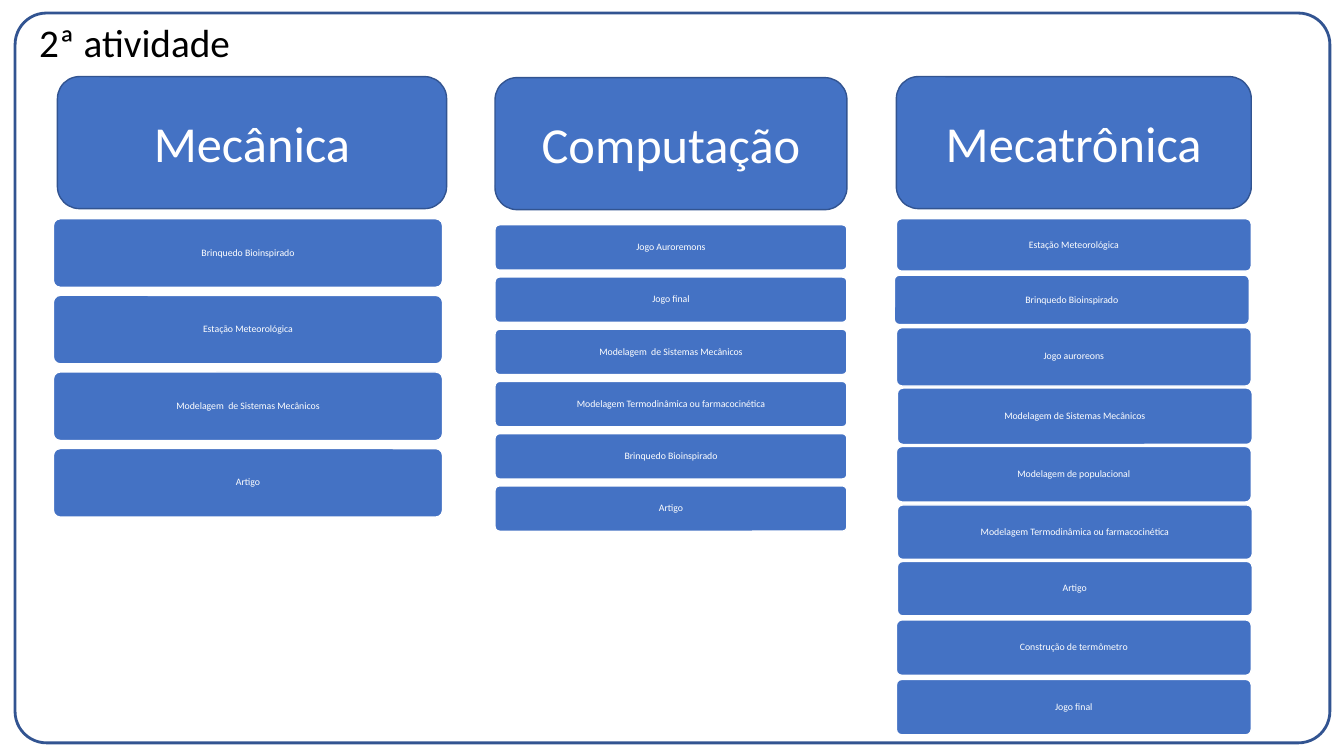
import pptx
import pptx.util
import pptx.dml.color
import pptx.enum.shapes
import pptx.enum.text
from dataclasses import dataclass

TITLE = "2ª atividade"

# Each head: label, then left, top, width, height
HEADS = [
    ("Mecânica", (0.57, 0.76, 3.86, 1.31)),
    ("Computação", (4.91, 0.77, 3.49, 1.31)),
    ("Mecatrônica", (8.89, 0.76, 3.52, 1.31)),
]

# Even stacks: left, top, width, height, pitch, labels
STACKS = [
    (0.53, 2.17, 3.86, 0.68, 0.76, [
        "Brinquedo Bioinspirado",
        "Estação Meteorológica",
        "Modelagem  de Sistemas Mecânicos",
        "Artigo",
    ]),
    (4.91, 2.23, 3.49, 0.45, 0.518, [
        "Jogo Auroremons",
        "Jogo final",
        "Modelagem  de Sistemas Mecânicos",
        "Modelagem Termodinâmica ou farmacocinética",
        "Brinquedo Bioinspirado",
        "Artigo",
    ]),
]

# Hand-placed bars of the last column: label, left, top, height
LOOSE_W = 3.52
LOOSE = [
    ("Estação Meteorológica", 8.89, 2.17, 0.52),
    ("Brinquedo Bioinspirado", 8.87, 2.73, 0.49),
    ("Jogo auroreons", 8.89, 3.25, 0.58),
    ("Modelagem de Sistemas Mecânicos", 8.9, 3.85, 0.56),
    ("Modelagem de populacional", 8.89, 4.43, 0.55),
    ("Modelagem Termodinâmica ou farmacocinética", 8.9, 5.01, 0.54),
    ("Artigo", 8.9, 5.57, 0.54),
    ("Construção de termômetro", 8.89, 6.15, 0.55),
    ("Jogo final", 8.89, 6.74, 0.55),
]


@dataclass(frozen=True)
class Theme:
    """Colours, font and type sizes."""
    font: str = "Calibri"
    blue: str = "4472C4"
    navy: str = "325491"
    white: str = "FFFFFF"
    black: str = "000000"
    title: int = 28
    head: int = 36
    bar: int = 7


THEME = Theme()
ALIGN = pptx.enum.text.PP_ALIGN


def color(code):
    """Turn a hex code into a colour."""
    return pptx.dml.color.RGBColor.from_string(code)


def write(shape, text, size, ink, align, space=1.0):
    """Set one line of text, centred in height."""
    frame = shape.text_frame
    frame.word_wrap = True
    frame.vertical_anchor = pptx.enum.text.MSO_ANCHOR.MIDDLE
    para = frame.paragraphs[0]
    para.text = text
    para.alignment = align
    para.line_spacing = space
    para.font.name = THEME.font
    para.font.size = pptx.util.Pt(size)
    para.font.color.rgb = color(ink)


def panel(slide, box, edge, width, fill=None, bend=None):
    """Add a rounded panel, with no fill unless one is given."""
    kind = pptx.enum.shapes.MSO_SHAPE.ROUNDED_RECTANGLE
    shape = slide.shapes.add_shape(kind, *map(pptx.util.Inches, box))
    shape.shadow.inherit = False
    if bend is not None:
        shape.adjustments[0] = bend
    if fill:
        shape.fill.solid()
        shape.fill.fore_color.rgb = color(fill)
    else:
        shape.fill.background()
    shape.line.color.rgb = color(edge)
    shape.line.width = pptx.util.Pt(width)
    return shape


def bar(slide, text, box):
    """Add one activity bar."""
    shape = panel(slide, box, THEME.white, 1, THEME.blue, 0.1)
    frame = shape.text_frame
    frame.margin_left = frame.margin_right = pptx.util.Inches(0.02)
    frame.margin_top = frame.margin_bottom = pptx.util.Inches(0.01)
    write(shape, text, THEME.bar, THEME.white, ALIGN.CENTER, 0.9)


def build():
    """Build the slide and save it."""
    deck = pptx.Presentation()
    deck.slide_width = pptx.util.Inches(13.33)
    deck.slide_height = pptx.util.Inches(7.5)
    slide = deck.slides.add_slide(deck.slide_layouts[6])

    panel(slide, (0.15, 0.13, 13.04, 7.24), THEME.navy, 2, bend=0.043)
    title = slide.shapes.add_textbox(
        *map(pptx.util.Inches, (0.29, 0.1, 11.5, 0.69)))
    write(title, TITLE, THEME.title, THEME.black, ALIGN.LEFT, 0.9)

    for text, box in HEADS:
        head = panel(slide, box, THEME.navy, 1, THEME.blue)
        write(head, text, THEME.head, THEME.white, ALIGN.CENTER)

    for left, top, width, height, pitch, labels in STACKS:
        for row, text in enumerate(labels):
            bar(slide, text, (left, top + row * pitch, width, height))

    for text, left, top, height in LOOSE:
        bar(slide, text, (left, top, LOOSE_W, height))

    deck.save("out.pptx")


build()
